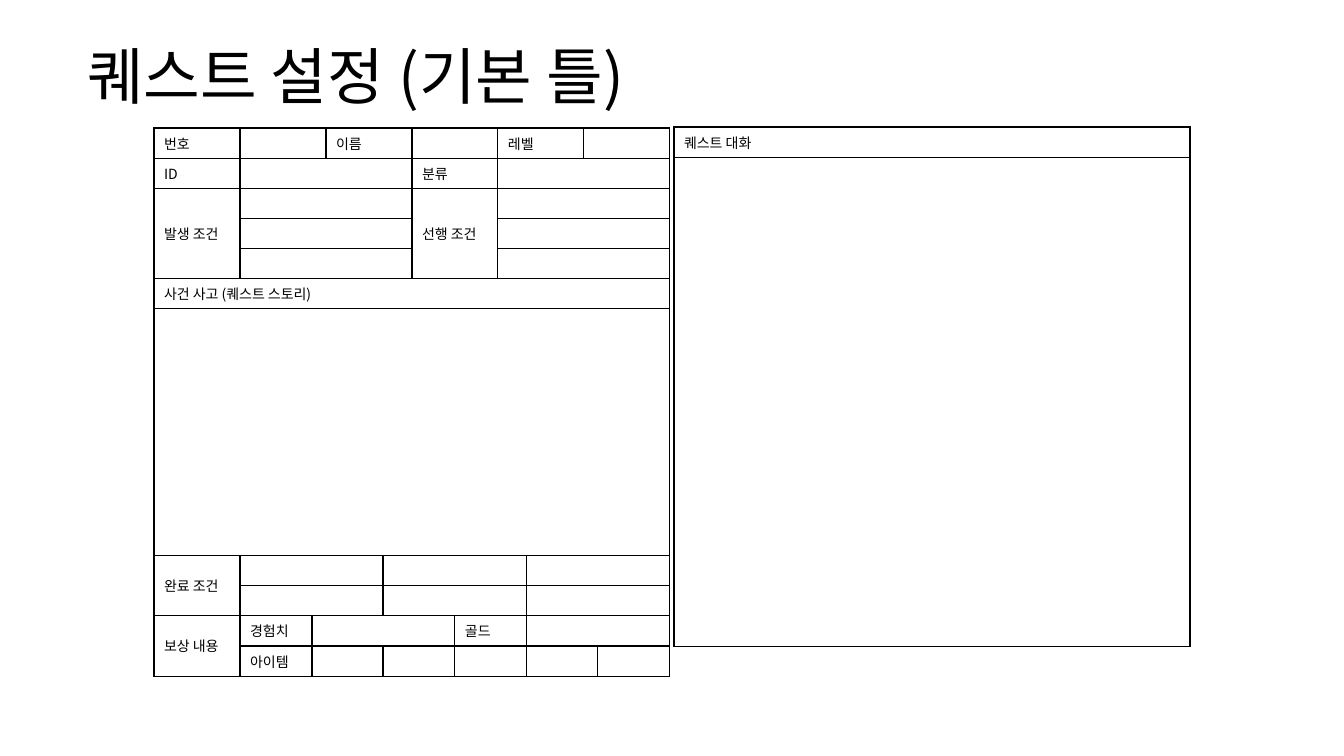
from dataclasses import dataclass
from itertools import pairwise

from lxml import etree
from pptx import Presentation
from pptx import util as u
from pptx.dml.color import RGBColor
from pptx.enum import text
from pptx.oxml.ns import qn

SCALE = 914400 / 100.8


@dataclass(frozen=True)
class Theme:
    font: str = "Noto Sans CJK KR"
    ink: str = "000000"
    title_size: int = 44
    cell_size: int = 10
    border: int = 1


THEME = Theme()
LABEL_WIDTH = 86
FIELD_ROW = 30
STORY_ROW = 247
DIALOGUE_ROW = 489

QUEST_ROWS = [
    [("번호", 1, 1), ("", 2, 1), ("이름", 2, 1), ("", 2, 1), ("레벨", 2, 1), ("", 2, 1)],
    [("ID", 1, 1), ("", 4, 1), ("분류", 2, 1), ("", 4, 1)],
    [("발생 조건", 1, 3), ("", 4, 1), ("선행 조건", 2, 3), ("", 4, 1)],
    [("", 4, 1), ("", 4, 1)],
    [("", 4, 1), ("", 4, 1)],
    [("사건 사고 (퀘스트 스토리)", 11, 1)],
    [("", 11, 1)],
    [("완료 조건", 1, 2), ("", 3, 1), ("", 4, 1), ("", 3, 1)],
    [("", 3, 1), ("", 4, 1), ("", 3, 1)],
    [("보상 내용", 1, 2), ("경험치", 1, 1), ("", 4, 1), ("골드", 2, 1), ("", 3, 1)],
    [("아이템", 1, 1), ("", 2, 1), ("", 2, 1), ("", 2, 1), ("", 2, 1), ("", 1, 1)],
]
DIALOGUE_ROWS = [[("퀘스트 대화", 1, 1)], [("", 1, 1)]]


def px(length):
    return u.Emu(round(length * SCALE))


def style_text(para, size):
    for span in para.runs:
        span.font.size = u.Pt(size)
        span.font.name = THEME.font
        span.font.color.rgb = RGBColor.from_string(THEME.ink)
        east_asian = etree.SubElement(span.font._element, qn("a:ea"))
        east_asian.set("typeface", THEME.font)


def style_cell(cell):
    properties = cell._tc.get_or_add_tcPr()
    for side in ("lnL", "lnR", "lnT", "lnB"):
        line = etree.SubElement(properties, qn(f"a:{side}"), w=str(u.Pt(THEME.border)))
        fill = etree.SubElement(line, qn("a:solidFill"))
        etree.SubElement(fill, qn("a:srgbClr"), val=THEME.ink)
    cell.fill.background()
    cell.vertical_anchor = text.MSO_ANCHOR.MIDDLE
    para = cell.text_frame.paragraphs[0]
    style_text(para, THEME.cell_size)
    if not para.runs:
        etree.SubElement(para._p, qn("a:endParaRPr"), sz=str(THEME.cell_size * 100))


def add_form(page, left, top, widths, heights, rows):
    frame = page.shapes.add_table(len(heights), len(widths), px(left), px(top),
                                  px(sum(widths)), px(sum(heights)))
    table = frame.table
    table.first_row = table.horz_banding = False
    for column, width in zip(table.columns, widths):
        column.width = px(width)
    for row, height in zip(table.rows, heights):
        row.height = px(height)
    for row_index, entries in enumerate(rows):
        column_index = 0
        for label, across, down in entries:
            while table.cell(row_index, column_index).is_spanned:
                column_index += 1
            cell = table.cell(row_index, column_index)
            cell.text = label
            if across > 1 or down > 1:
                cell.merge(table.cell(row_index + down - 1, column_index + across - 1))
            column_index += across
    for cell in table.iter_cells():
        style_cell(cell)


def add_quest_form(page, left, top, width):
    fields = width - LABEL_WIDTH
    edges = {round(fields * part / count) for count in (5, 6) for part in range(count + 1)}
    widths = [LABEL_WIDTH] + [end - start for start, end in pairwise(sorted(edges))]
    heights = [FIELD_ROW] * len(QUEST_ROWS)
    heights[6] = STORY_ROW
    add_form(page, left, top, widths, heights, QUEST_ROWS)


def add_dialogue_form(page, left, top, width):
    add_form(page, left, top, [width], [FIELD_ROW, DIALOGUE_ROW], DIALOGUE_ROWS)


def add_title(page, left, top, width, height):
    title = page.shapes.title
    title.left, title.top, title.width, title.height = map(px, (left, top, width, height))
    frame = title.text_frame
    frame.text = "퀘스트 설정 (기본 틀)"
    frame.auto_size = text.MSO_AUTO_SIZE.NONE
    frame.vertical_anchor = text.MSO_ANCHOR.MIDDLE
    para = frame.paragraphs[0]
    para.alignment = text.PP_ALIGN.LEFT
    para.line_spacing = 0.9
    style_text(para, THEME.title_size)


def main():
    deck = Presentation()
    deck.slide_width, deck.slide_height = px(1344), px(756)
    page = deck.slides.add_slide(deck.slide_layouts[5])
    add_title(page, 77, 32, 1190, 95)
    add_quest_form(page, 154, 128, 516)
    add_dialogue_form(page, 674, 127, 516)
    deck.save("out.pptx")


if __name__ == "__main__":
    main()
